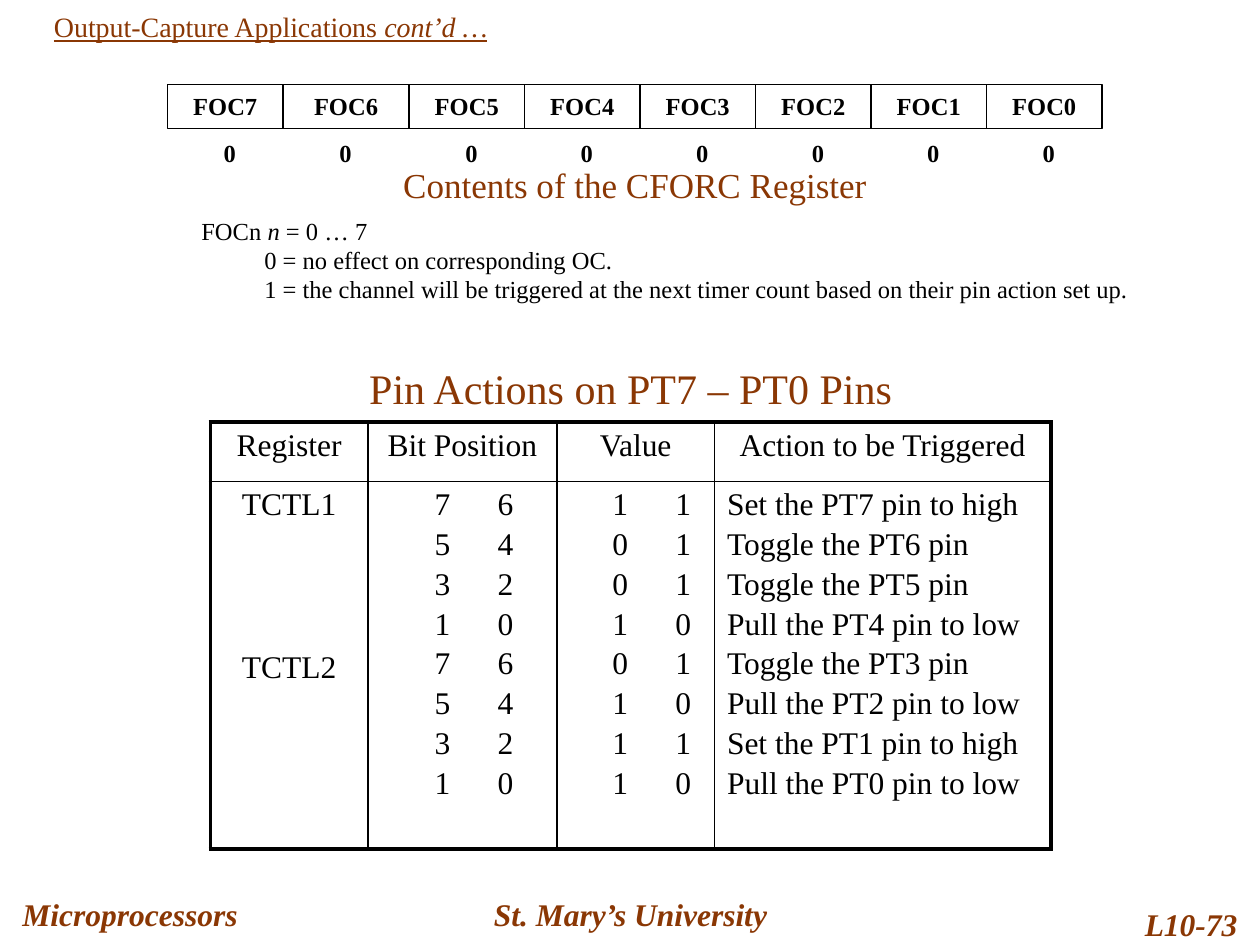
from lxml.etree import SubElement
from pptx import Presentation
from pptx.dml.color import RGBColor
from pptx.enum.shapes import MSO_SHAPE
from pptx.enum.text import MSO_ANCHOR, PP_ALIGN
from pptx.oxml.ns import qn
from pptx.util import Inches, Pt

COLORS = {"accent": "8A3704", "ink": "000000"}
ALIGN = {"left": PP_ALIGN.LEFT, "center": PP_ALIGN.CENTER, "right": PP_ALIGN.RIGHT}
FONT = "Times New Roman"


def write(para, text, size=18, color="ink", align="left", bold=False, italic=False,
          underline=False, before=0, line=None, margin=0, indent=0, tab=None):
    para.alignment = ALIGN[align]
    para.space_before = Pt(before)
    if line:
        para.line_spacing = line
    properties = para._p.get_or_add_pPr()
    properties.set("marL", str(Inches(margin)))
    properties.set("indent", str(Inches(indent)))
    if tab:
        stops = SubElement(properties, qn("a:tabLst"))
        SubElement(stops, qn("a:tab"), pos=str(Inches(tab)), algn="l")
    span = para.add_run()
    span.text = text
    span.font.name = FONT
    span.font.size = Pt(size)
    span.font.bold = bold
    span.font.italic = italic
    span.font.underline = underline
    span.font.color.rgb = RGBColor.from_string(COLORS[color])


class SlideWriter:
    def __init__(self, page):
        self.page = page

    def text(self, at, text, anchor=MSO_ANCHOR.TOP, wrap=True, **style):
        box = self.page.shapes.add_textbox(*map(Inches, at))
        frame = box.text_frame
        frame.word_wrap = wrap
        frame.vertical_anchor = anchor
        write(frame.paragraphs[0], text, **style)
        return frame

    def bit_cell(self, at, text, **style):
        box = self.page.shapes.add_shape(MSO_SHAPE.RECTANGLE, *map(Inches, at))
        box.shadow.inherit = False
        box.fill.background()
        box.line.color.rgb = RGBColor.from_string(COLORS["ink"])
        box.line.width = Pt(1)
        box.text_frame.vertical_anchor = MSO_ANCHOR.TOP
        write(box.text_frame.paragraphs[0], text, **style)

    def table(self, at, widths, heights):
        shape = self.page.shapes.add_table(len(heights), len(widths), *map(Inches, at))
        table = shape.table
        table.first_row = table.horz_banding = False
        for column, width in zip(table.columns, widths):
            column.width = Inches(width)
        for row, height in zip(table.rows, heights):
            row.height = Inches(height)
        last_row, last_column = len(heights) - 1, len(widths) - 1
        for r in range(len(heights)):
            for c in range(len(widths)):
                outer = {"lnL": c == 0, "lnR": c == last_column,
                         "lnT": r == 0, "lnB": r == last_row}
                self.borders(table.cell(r, c), outer)
        return table

    def borders(self, cell, outer):
        properties = cell._tc.get_or_add_tcPr()
        for side, heavy in outer.items():
            edge = SubElement(properties, qn(f"a:{side}"), w=str(Pt(2.25 if heavy else 1)))
            fill = SubElement(edge, qn("a:solidFill"))
            SubElement(fill, qn("a:srgbClr"), val=COLORS["ink"])
        cell.fill.background()

    def lines(self, cell, texts, left=0.1, before=2.8, **style):
        cell.margin_left = Inches(left)
        for i, text in enumerate(texts):
            para = cell.text_frame.paragraphs[0] if i == 0 else cell.text_frame.add_paragraph()
            write(para, text, before=before if i else 0, **style)


def add_register(writer):
    left, width = 1.33, 11 / 12
    for bit in range(7, -1, -1):
        cell_width = 1 if bit == 6 else width
        writer.bit_cell((left, 0.67, cell_width, 0.35), f"FOC{bit}",
                        size=14, bold=True, align="center")
        writer.text((left + 0.33, 1.05, 0.33, 0.33), "0",
                    size=14, bold=True, align="center")
        left += cell_width
    writer.text((1.33, 1.25, 7.42, 0.43), "Contents of the CFORC Register",
                size=20, color="accent", align="center")
    hanging = {"size": 14, "line": 0.95, "margin": 1, "indent": -0.5}
    frame = writer.text((1, 1.68, 8.33, 0.79), "FOCn ", **hanging)
    write(frame.paragraphs[0], "n", italic=True, **hanging)
    write(frame.paragraphs[0], " = 0 … 7", **hanging)
    for text in ("0 = no effect on corresponding OC.",
                 "1 = the channel will be triggered at the next timer count "
                 "based on their pin action set up."):
        write(frame.add_paragraph(), text, size=14, line=0.8, before=3, margin=1)


def add_pin_actions(writer):
    table = writer.table((1.67, 3.35, 6.67, 3.39), (1.25, 1.5, 1.25, 2.67), (0.47, 2.92))
    headings = ("Register", "Bit Position", "Value", "Action to be Triggered")
    for column, heading in enumerate(headings):
        writer.lines(table.cell(0, column), [heading], align="center")
    values = ("11", "01", "01", "10", "01", "10", "11", "10")
    verbs = {"11": "Set the PT{} pin to high", "01": "Toggle the PT{} pin",
             "10": "Pull the PT{} pin to low"}
    positions = ("76", "54", "32", "10") * 2
    actions = [verbs[value].format(7 - i) for i, value in enumerate(values)]
    writer.lines(table.cell(1, 0), ["TCTL1", "TCTL2"], before=73.3, align="center")
    writer.lines(table.cell(1, 1), ["\t".join(pair) for pair in positions], left=0.53, tab=0.32)
    writer.lines(table.cell(1, 2), ["\t".join(pair) for pair in values], left=0.44, tab=0.25)
    writer.lines(table.cell(1, 3), actions)
    writer.text((1.67, 2.83, 6.67, 0.5), "Pin Actions on PT7 – PT0 Pins",
                size=24, color="accent", align="center")


def main():
    deck = Presentation()
    deck.slide_width, deck.slide_height = Inches(10), Inches(7.5)
    writer = SlideWriter(deck.slides.add_slide(deck.slide_layouts[6]))
    footers = (
        ((0.08, 7, 2.42, 0.5), "Microprocessors", "left"),
        ((3.42, 7, 3.17, 0.5), "St. Mary’s University", "center"),
        ((8.67, 7.08, 1.25, 0.5), "L10-73", "right"),
    )
    for at, text, align in footers:
        writer.text(at, text, anchor=MSO_ANCHOR.MIDDLE, wrap=False,
                    color="accent", align=align, bold=True, italic=True)
    heading = {"size": 16, "color": "accent", "underline": True}
    frame = writer.text((0.33, 0, 8.5, 0.42), "Output-Capture Applications ",
                        anchor=MSO_ANCHOR.MIDDLE, **heading)
    write(frame.paragraphs[0], "cont’d …", italic=True, **heading)
    add_register(writer)
    add_pin_actions(writer)
    deck.save("out.pptx")


if __name__ == "__main__":
    main()
